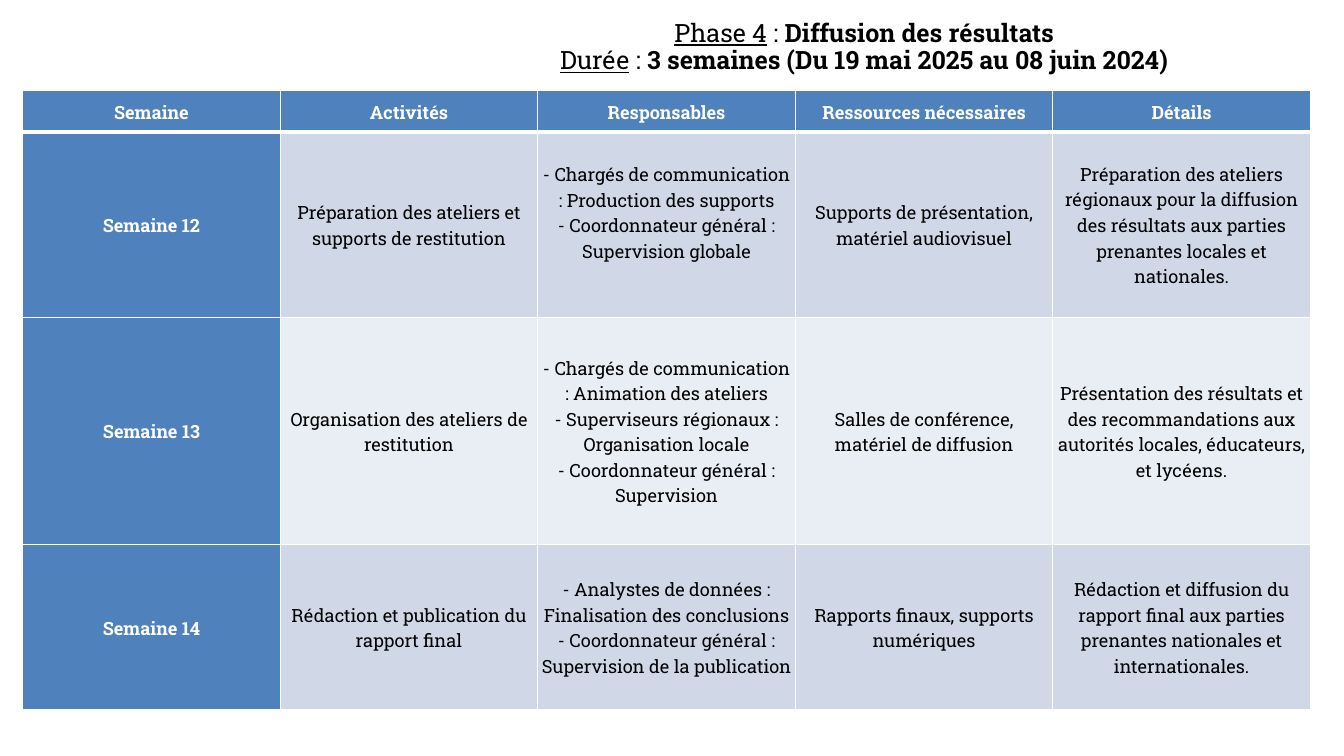
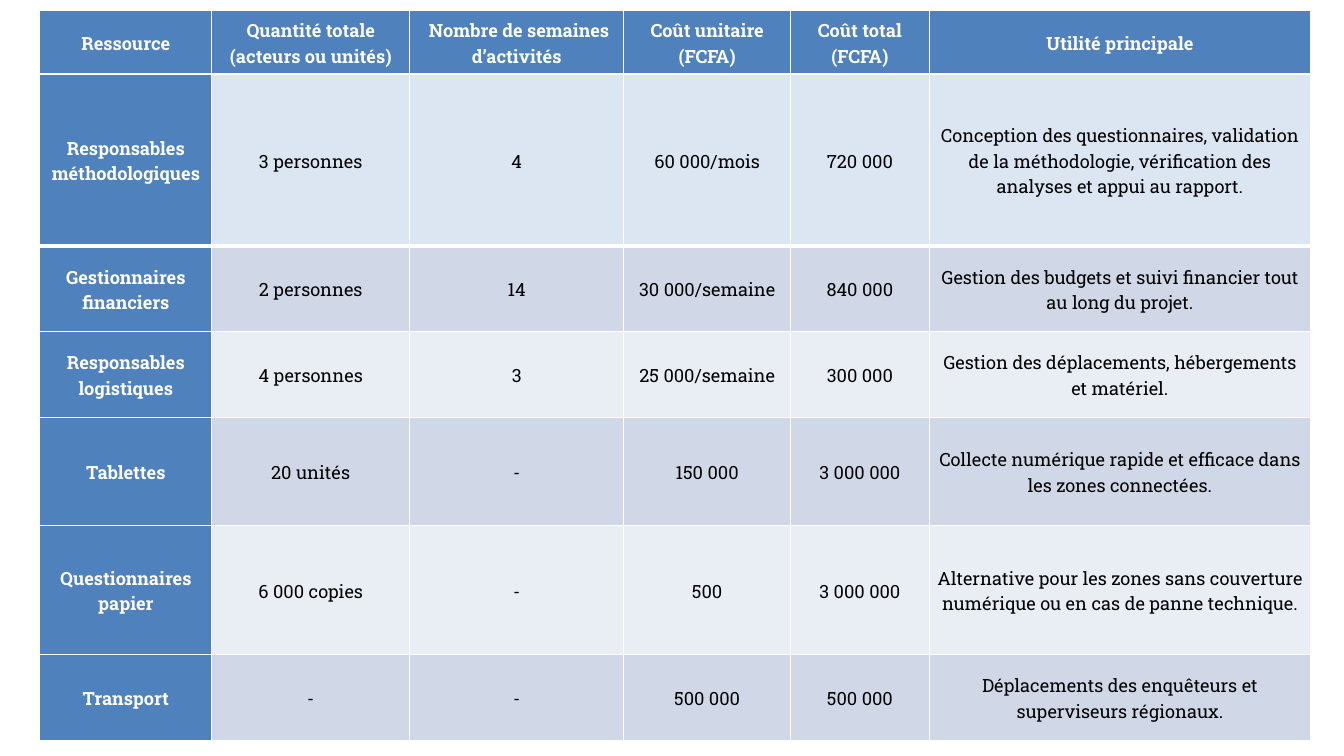
from lxml import etree
from pptx import Presentation
from pptx.dml.color import RGBColor
from pptx.enum import text
from pptx.oxml import ns
from pptx.util import Cm, Pt

FONT = "Roboto Slab"
BLUE = RGBColor(0x4F, 0x81, 0xBD)
PALE_BLUE = RGBColor(0xDC, 0xE6, 0xF2)
BANDS = (RGBColor(0xE9, 0xED, 0xF4), RGBColor(0xD0, 0xD8, 0xE8))
WHITE = RGBColor(0xFF, 0xFF, 0xFF)
BLACK = RGBColor(0x00, 0x00, 0x00)
THIN, THICK = 1, 3

WEEKS = [
    ["Semaine", "Activités", "Responsables", "Ressources nécessaires", "Détails"],
    ["Semaine 12",
     "Préparation des ateliers et supports de restitution",
     "- Chargés de communication : Production des supports\n"
     "- Coordonnateur général : Supervision globale",
     "Supports de présentation, matériel audiovisuel",
     "Préparation des ateliers régionaux pour la diffusion des résultats "
     "aux parties prenantes locales et nationales."],
    ["Semaine 13",
     "Organisation des ateliers de restitution",
     "- Chargés de communication : Animation des ateliers\n"
     "- Superviseurs régionaux : Organisation locale\n"
     "- Coordonnateur général : Supervision",
     "Salles de conférence, matériel de diffusion",
     "Présentation des résultats et des recommandations aux autorités "
     "locales, éducateurs, et lycéens."],
    ["Semaine 14",
     "Rédaction et publication du rapport final",
     "- Analystes de données : Finalisation des conclusions\n"
     "- Coordonnateur général : Supervision de la publication",
     "Rapports finaux, supports numériques",
     "Rédaction et diffusion du rapport final aux parties prenantes "
     "nationales et internationales."],
]
BUDGET_HEADER = [
    ["Ressource", "Quantité totale (acteurs ou unités)",
     " Nombre de semaines d’activités", "Coût unitaire (FCFA)",
     "Coût total (FCFA)", "Utilité principale"],
]
BUDGET = [
    ["Responsables méthodologiques", "3 personnes", "4", "60 000/mois", "720 000",
     "Conception des questionnaires, validation de la méthodologie, "
     "vérification des analyses et appui au rapport."],
    ["Gestionnaires financiers", "2 personnes", "14", "30 000/semaine", "840 000",
     "Gestion des budgets et suivi financier tout au long du projet."],
    ["Responsables logistiques", "4 personnes", "3", "25 000/semaine", "300 000",
     "Gestion des déplacements, hébergements et matériel."],
    ["Tablettes", "20 unités", "-", "150 000", "3 000 000",
     "Collecte numérique rapide et efficace dans les zones connectées."],
    ["Questionnaires papier", "6 000 copies", "-", "500", "3 000 000",
     "Alternative pour les zones sans couverture numérique ou en cas de "
     "panne technique."],
    ["Transport", "-", "-", "500 000", "500 000",
     "Déplacements des enquêteurs et superviseurs régionaux."],
]


def add_span(para, words, size=13, color=BLACK, bold=False, underline=False):
    span = para.add_run()
    span.text = words
    font = span.font
    font.name, font.size, font.bold, font.underline = FONT, Pt(size), bold, underline
    font.color.rgb = color


def set_borders(cell, top, bottom):
    """Draw white edges, with widths in points for top and bottom."""
    properties = cell._tc.get_or_add_tcPr()
    for side, width in (("L", THIN), ("R", THIN), ("T", top), ("B", bottom)):
        line = etree.SubElement(properties, ns.qn(f"a:ln{side}"), w=str(Pt(width)))
        fill = etree.SubElement(line, ns.qn("a:solidFill"))
        etree.SubElement(fill, ns.qn("a:srgbClr"), val=str(WHITE))


def fill_cell(cell, words, fill, margin):
    cell.fill.solid()
    cell.fill.fore_color.rgb = fill
    cell.vertical_anchor = text.MSO_ANCHOR.MIDDLE
    cell.margin_left = cell.margin_right = Cm(margin)
    cell.margin_top = cell.margin_bottom = 0
    para = cell.text_frame.paragraphs[0]
    para.alignment = text.PP_ALIGN.CENTER
    para.line_spacing = 1.07
    para.space_after = Pt(8)
    heading = fill == BLUE
    for index, line in enumerate(words.split("\n")):
        if index:
            para.add_line_break()
        add_span(para, line, color=WHITE if heading else BLACK, bold=heading)


def add_grid(page, rows, left, top, widths, heights, first_fill=BLUE, margin=0.1):
    """Place a banded table, in centimetres; its first row has a thick lower edge."""
    frame = page.shapes.add_table(len(rows), len(widths), Cm(left), Cm(top),
                                  Cm(sum(widths)), Cm(sum(heights)))
    table = frame.table
    table.first_row = table.horz_banding = False
    for column, width in zip(table.columns, widths):
        column.width = Cm(width)
    for r, (words_row, height) in enumerate(zip(rows, heights)):
        table.rows[r].height = Cm(height)
        band = BANDS[r % 2] if r else first_fill
        for c, words in enumerate(words_row):
            cell = table.cell(r, c)
            set_borders(cell, top=THICK if r == 1 else THIN,
                        bottom=THIN if r else THICK)
            fill_cell(cell, words, band if c else BLUE, margin)
    return table


def add_phase_title(page, left, top, width, height, lines):
    """Place centred lines of an underlined label and a bold value."""
    box = page.shapes.add_textbox(Cm(left), Cm(top), Cm(width), Cm(height))
    frame = box.text_frame
    frame.word_wrap = True
    for index, (label, value) in enumerate(lines):
        para = frame.add_paragraph() if index else frame.paragraphs[0]
        para.alignment = text.PP_ALIGN.CENTER
        para.line_spacing = 0.9
        add_span(para, label, size=18, underline=True)
        add_span(para, " : ", size=18)
        add_span(para, value, size=18, bold=True)


def build_phase_page(page):
    add_phase_title(page, 11.68, 0.4, 20.2, 2.56, [
        ("Phase 4", "Diffusion des résultats"),
        ("Durée", "3 semaines (Du 19 mai 2025 au 08 juin 2024)"),
    ])
    table = add_grid(page, WEEKS, 0.57, 2.28, [6.49] * 5, [1.04, 4.68, 5.72, 4.17])
    table.cell(1, 2).margin_bottom = Cm(0.64)


def build_budget_page(page):
    left, top, header_height = 1, 0.26, 1.62
    widths = [4.34, 4.98, 5.4, 4.2, 3.5, 9.6]
    add_grid(page, BUDGET_HEADER, left, top, widths, [header_height], margin=0.18)
    add_grid(page, BUDGET, left, top + header_height, widths,
             [4.32, 2.16, 2.16, 2.72, 3.26, 2.16], first_fill=PALE_BLUE)


def main():
    deck = Presentation()
    deck.slide_width, deck.slide_height = Cm(33.87), Cm(19.05)
    for build in (build_phase_page, build_budget_page):
        build(deck.slides.add_slide(deck.slide_layouts[6]))
    deck.save("out.pptx")


if __name__ == "__main__":
    main()
